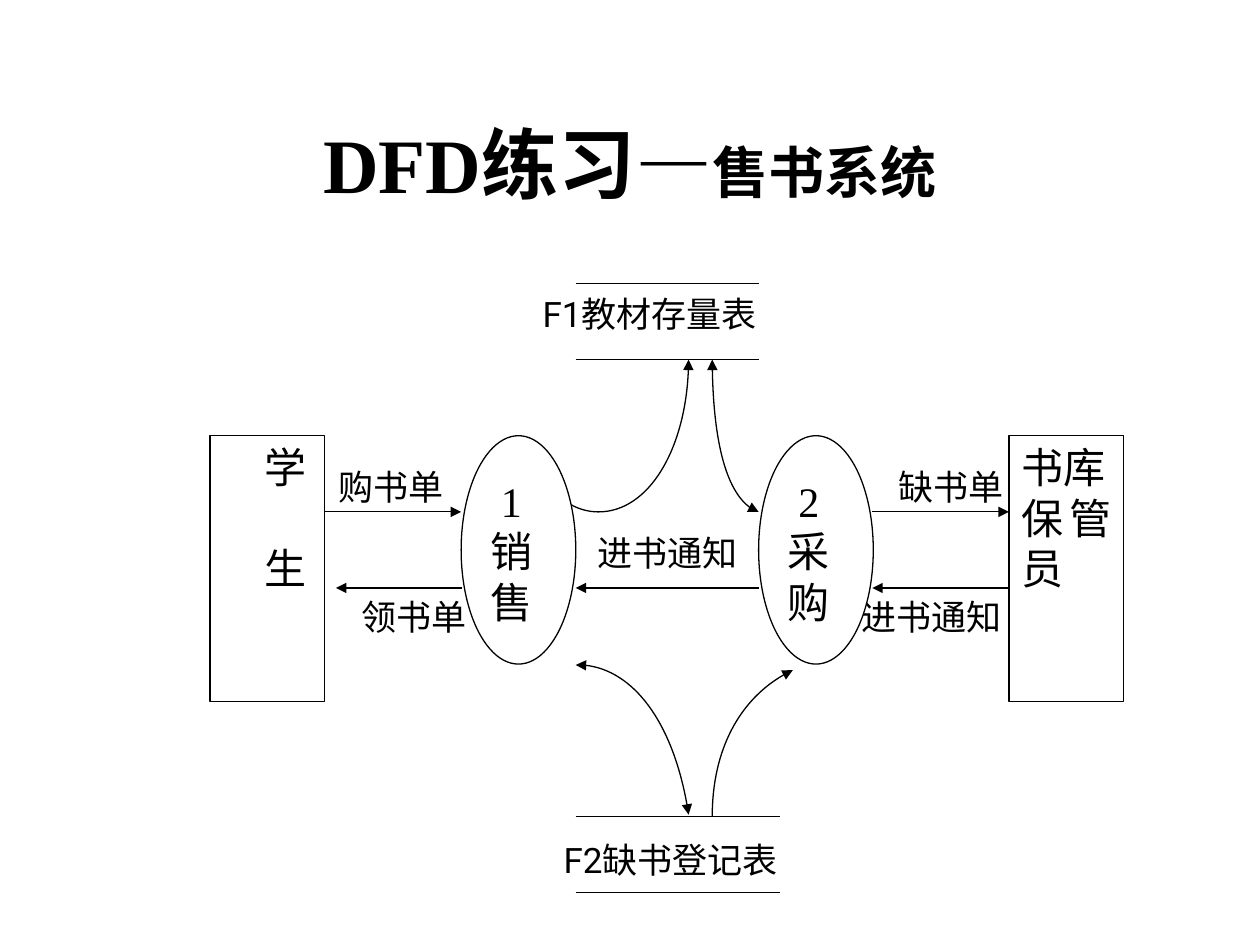
"""Build the bookshop data flow diagram slide."""
from lxml import etree
from pptx import Presentation
from pptx import util as u
from pptx.dml.color import RGBColor
from pptx.enum import shapes, text
from pptx.oxml import ns

BLACK = RGBColor(0, 0, 0)
WHITE = RGBColor(255, 255, 255)
SERIF, SANS = "Times New Roman", "Roboto"
Pt = u.Pt


def ink(shape, ends=()):
    shape.line.color.rgb = BLACK
    shape.line.width = Pt(0.75)
    for end in ends:
        etree.SubElement(shape.line._get_or_add_ln(), ns.qn("a:" + end), type="triangle")


def write(para, parts, bold=False):
    for words, font, size in parts:
        run = para.add_run()
        run.text = words
        run.font.name = font
        run.font.size = Pt(size)
        run.font.bold = bold
        run.font.color.rgb = BLACK


deck = Presentation()
deck.slide_width, deck.slide_height = Pt(720), Pt(540)
slide = deck.slides.add_slide(deck.slide_layouts[6])
items = slide.shapes

labels = [
    (54, 48, 612, 90, [("DFD练习—", SERIF, 44), ("售书系统", SERIF, 32)]),
    (186.5, 260, 100, 36, [("购书单", SERIF, 20)]),
    (506.5, 260, 100, 36, [("缺书单", SERIF, 20)]),
    (334.5, 297.5, 120, 36, [("进书通知", SERIF, 20)]),
    (199.5, 334.5, 100, 36, [("领书单", SERIF, 20)]),
    (485, 334.5, 120, 36, [("进书通知", SERIF, 20)]),
    (303, 161, 150, 36, [("F1", SANS, 20), ("教材存量表", SERIF, 20)]),
    (315, 473, 150, 36, [("F2", SANS, 20), ("缺书登记表", SERIF, 20)]),
]
for left, top, wide, high, parts in labels:
    box = items.add_textbox(Pt(left), Pt(top), Pt(wide), Pt(high))
    frame = box.text_frame
    frame.word_wrap = True
    frame.vertical_anchor = text.MSO_ANCHOR.MIDDLE
    title = high == 90
    if title:
        frame.paragraphs[0].alignment = text.PP_ALIGN.CENTER
    write(frame.paragraphs[0], parts, title)

RECT, OVAL = shapes.MSO_SHAPE.RECTANGLE, shapes.MSO_SHAPE.OVAL
nodes = [
    (RECT, 120, 152, [("学", 24, 0), ("生", 24, 28.5)]),
    (OVAL, 263.5, 130.5, [("1", 6, 0), ("销售", 0, 0)]),
    (OVAL, 433.5, 130.5, [("2", 6, 0), ("采购", 0, 0)]),
    (RECT, 576.5, 152, [("书库", 0, 0), ("保管员", 0, 0)]),
]
for kind, left, high, rows in nodes:
    node = items.add_shape(kind, Pt(left), Pt(249), Pt(65.5), Pt(high))
    node.shadow.inherit = False
    node.fill.solid()
    node.fill.fore_color.rgb = WHITE
    ink(node)
    frame = node.text_frame
    frame.word_wrap = True
    frame.vertical_anchor = text.MSO_ANCHOR.TOP
    for i, (words, indent, gap) in enumerate(rows):
        para = frame.add_paragraph() if i else frame.paragraphs[0]
        para.alignment = text.PP_ALIGN.JUSTIFY
        if gap:
            para.space_before = Pt(gap)
        para._p.get_or_add_pPr().set("marL", str(Pt(indent)))
        write(para, [(words, SERIF, 24)])

TAIL, BOTH = ("tailEnd",), ("headEnd", "tailEnd")
lines = [
    (329, 433.5, 162, ()), (329, 433.5, 205.5, ()),
    (329, 446, 466.5, ()), (329, 446, 510, ()),
    (185.5, 263.5, 292.5, TAIL), (498.5, 576.5, 292.5, TAIL),
    (264, 192, 336, TAIL), (433.5, 329, 336, TAIL), (576.5, 498.5, 336, TAIL),
]
for start, end, y, ends in lines:
    line = items.add_connector(shapes.MSO_CONNECTOR.STRAIGHT, Pt(start), Pt(y), Pt(end), Pt(y))
    ink(line, ends)
    etree.SubElement(line._element.spPr, ns.qn("a:effectLst"))

curves = [
    ([(326.5, 288.5), (331, 291), (336.5, 292.5), (342, 292.5),
      (371, 292.5), (393.5, 253.5), (393.5, 205.5)], TAIL),
    ([(407, 205.5), (407, 250), (417, 288), (433.5, 292.5)], BOTH),
    ([(329, 380), (358, 378.5), (386, 414), (393.5, 465.5)], BOTH),
    ([(407, 466.5), (407, 428), (425, 396), (453, 383)], TAIL),
]
for knots, ends in curves:
    spots = [(Pt(x), Pt(y)) for x, y in knots]
    pen = items.build_freeform(*spots[0])
    pen.add_line_segments(spots[1:], close=False)
    curve = pen.convert_to_shape()
    curve.shadow.inherit = False
    curve.fill.background()
    ink(curve, ends)
    track = curve._element.find(".//" + ns.qn("a:path"))
    steps = track.findall(ns.qn("a:lnTo"))
    for i in range(0, len(steps), 3):
        bend = etree.SubElement(track, ns.qn("a:cubicBezTo"))
        for step in steps[i:i + 3]:
            bend.append(step[0])
            track.remove(step)

deck.save("out.pptx")
